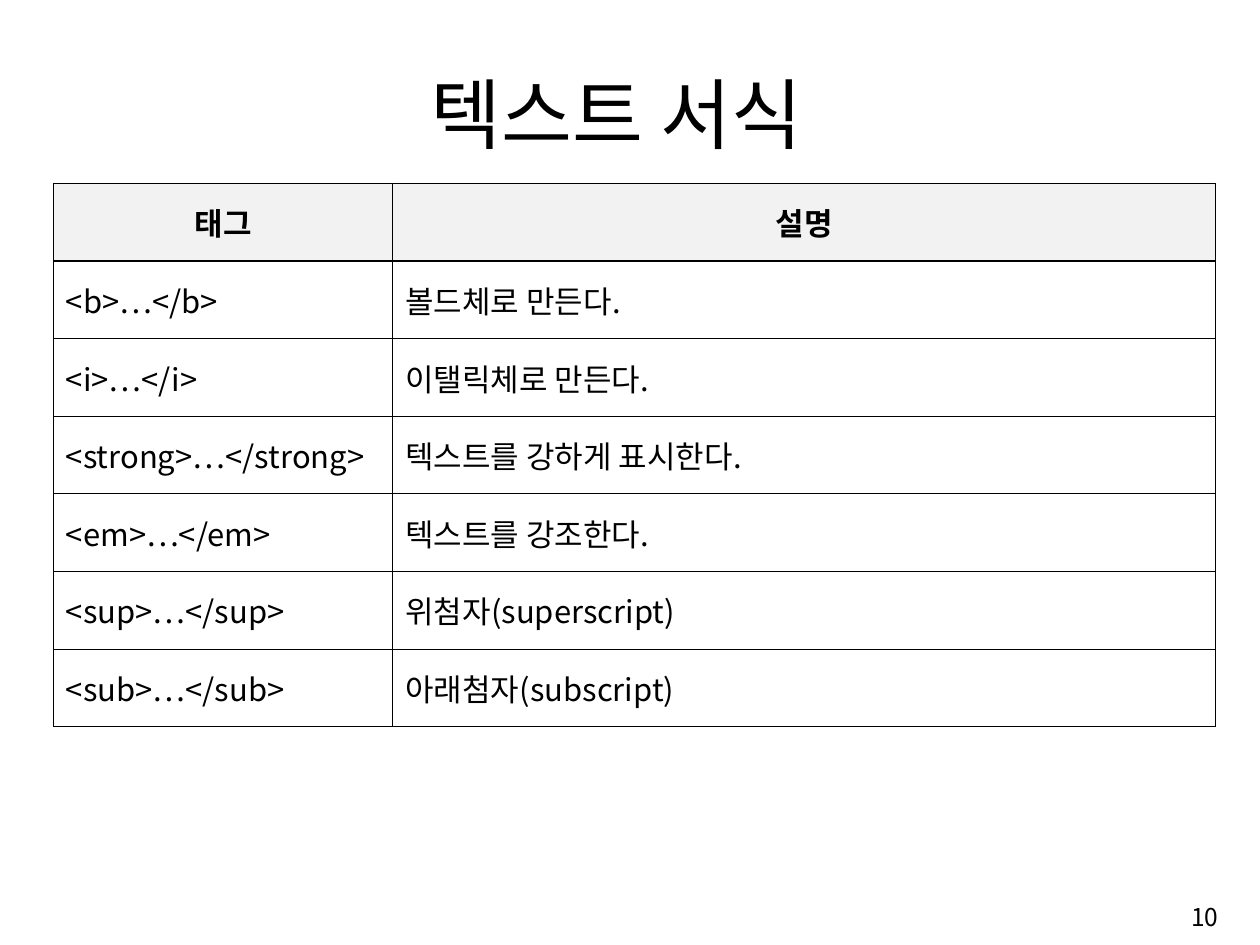
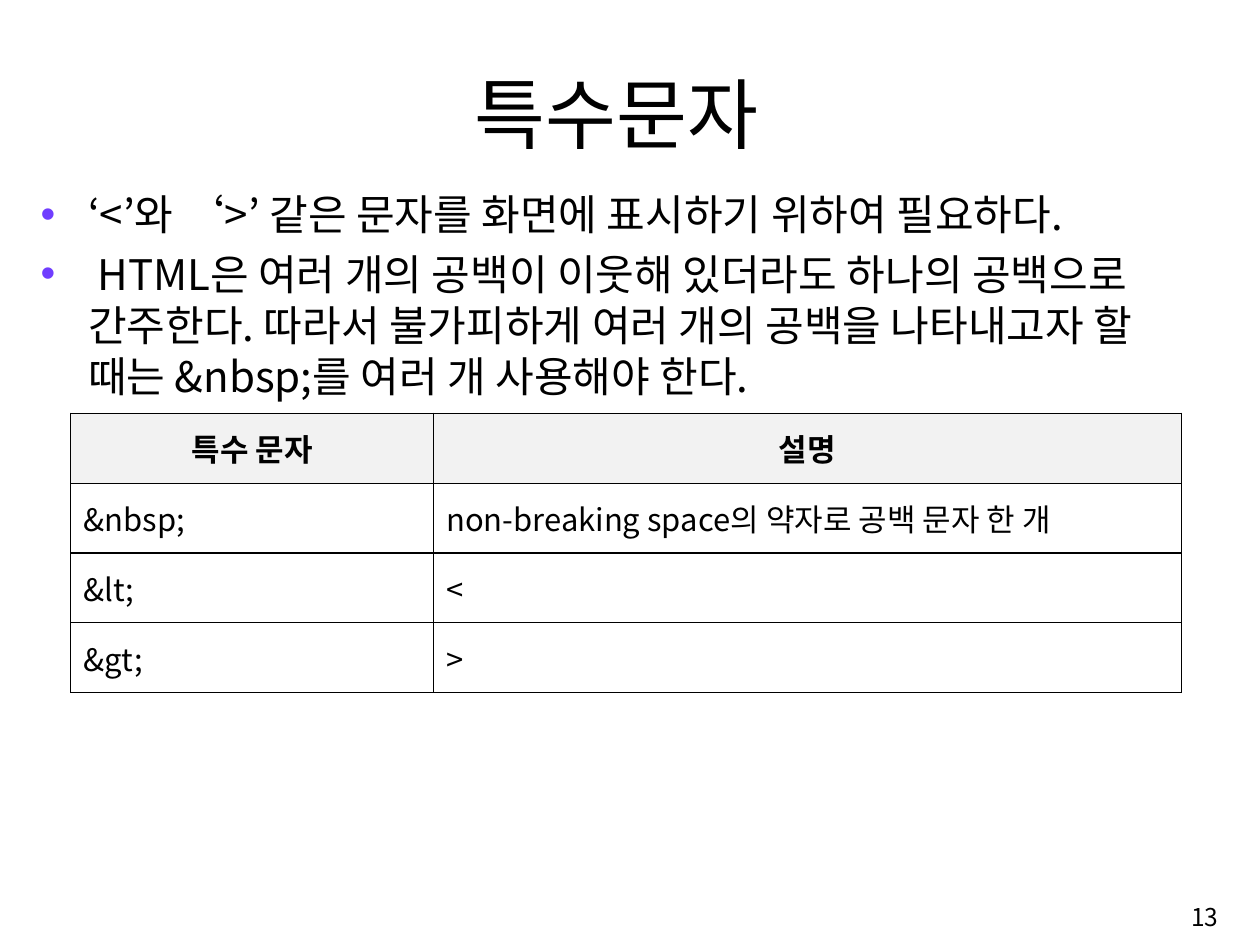
import pptx
import pptx.dml.color
import pptx.enum.text
import pptx.oxml
import pptx.oxml.ns
import pptx.util

Inches = pptx.util.Inches
Pt = pptx.util.Pt
ALIGN = pptx.enum.text.PP_ALIGN
ANCHOR = pptx.enum.text.MSO_ANCHOR

FONT = "Noto Sans CJK KR"
COLORS = {"text": "000000", "header": "F2F2F2", "cell": "FFFFFF",
          "border": "000000", "bullet": "703DFF"}

FORMAT_ROWS = [
    ("태그", "설명"),
    ("<b>…</b>", "볼드체로 만든다."),
    ("<i>…</i>", "이탤릭체로 만든다."),
    ("<strong>…</strong>", "텍스트를 강하게 표시한다."),
    ("<em>…</em>", "텍스트를 강조한다."),
    ("<sup>…</sup>", "위첨자(superscript)"),
    ("<sub>…</sub>", "아래첨자(subscript)"),
]
SYMBOL_ROWS = [
    ("특수 문자", "설명"),
    ("&nbsp;", "non-breaking space의 약자로 공백 문자 한 개"),
    ("&lt;", "<"),
    ("&gt;", ">"),
]
SYMBOL_POINTS = [
    "‘<’와 ‘>’ 같은 문자를 화면에 표시하기 위하여 필요하다.",
    " HTML은 여러 개의 공백이 이웃해 있더라도 하나의 공백으로 간주한다. "
    "따라서 불가피하게 여러 개의 공백을 나타내고자 할 때는 "
    "&nbsp;를 여러 개 사용해야 한다.",
]


def rgb(name):
    return pptx.dml.color.RGBColor.from_string(COLORS[name])


def add_xml(parent, xml):
    """Append a drawing element written without its namespace declaration."""
    tag, rest = xml.split(" ", 1)
    namespace = pptx.oxml.ns.nsdecls("a")
    parent.append(pptx.oxml.parse_xml(f"{tag} {namespace} {rest}"))


def format_paragraph(paragraph, size, alignment=ALIGN.LEFT, bold=False):
    paragraph.alignment = alignment
    for run in paragraph.runs:
        run.font.name = FONT
        run.font.size = Pt(size)
        run.font.bold = bold
        run.font.color.rgb = rgb("text")
        add_xml(run.font._element, f'<a:ea typeface="{FONT}"/>')


def add_text(slide, box, text, size, alignment=ALIGN.LEFT, anchor=ANCHOR.TOP):
    shape = slide.shapes.add_textbox(*map(Inches, box))
    text_frame = shape.text_frame
    text_frame.word_wrap = True
    text_frame.vertical_anchor = anchor
    text_frame.text = text
    for paragraph in text_frame.paragraphs:
        format_paragraph(paragraph, size, alignment)
    return shape


def add_bullets(slide, box, points):
    shape = add_text(slide, box, "\n".join(points), 31.2)
    for paragraph in shape.text_frame.paragraphs:
        paragraph.space_before = Pt(6)
        paragraph.line_spacing = Pt(38)
        properties = paragraph._p.get_or_add_pPr()
        properties.set("marL", str(Inches(0.49)))
        properties.set("indent", str(-Inches(0.49)))
        add_xml(properties, f'<a:buClr ><a:srgbClr val="{COLORS["bullet"]}"/></a:buClr>')
        add_xml(properties, '<a:buFont typeface="Arial"/>')
        add_xml(properties, '<a:buChar char="•"/>')


def style_cell(cell, text, is_header):
    cell.text = text
    cell.vertical_anchor = ANCHOR.MIDDLE
    cell.margin_left = cell.margin_right = Inches(0.13)
    cell.margin_top = cell.margin_bottom = Inches(0.06)
    format_paragraph(cell.text_frame.paragraphs[0], 23,
                     ALIGN.CENTER if is_header else ALIGN.LEFT, is_header)
    # Borders come before the fill in the cell properties
    for side in ("lnL", "lnR", "lnT", "lnB"):
        add_xml(cell._tc.get_or_add_tcPr(),
                f'<a:{side} w="{Pt(1)}"><a:solidFill>'
                f'<a:srgbClr val="{COLORS["border"]}"/></a:solidFill></a:{side}>')
    cell.fill.solid()
    cell.fill.fore_color.rgb = rgb("header" if is_header else "cell")


def add_grid(slide, left, top, widths, row_height, rows):
    frame = slide.shapes.add_table(
        len(rows), len(widths), Inches(left), Inches(top),
        Inches(sum(widths)), Inches(row_height * len(rows)))
    table = frame.table
    table.first_row = table.horz_banding = False
    for column, width in zip(table.columns, widths):
        column.width = Inches(width)
    for row_index, texts in enumerate(rows):
        table.rows[row_index].height = Inches(row_height)
        for column_index, text in enumerate(texts):
            style_cell(table.cell(row_index, column_index), text, row_index == 0)


def add_page(presentation, title, number):
    """Add a slide with the shared title and page number."""
    slide = presentation.slides.add_slide(presentation.slide_layouts[6])
    add_text(slide, (1.05, 0.61, 10.61, 1.08), title, 57.2,
             ALIGN.CENTER, ANCHOR.BOTTOM)
    add_text(slide, (9.98, 9.15, 2.68, 0.6), str(number), 18.2,
             ALIGN.RIGHT, ANCHOR.MIDDLE)
    return slide


def main():
    presentation = pptx.Presentation()
    presentation.slide_width = Inches(12.99)
    presentation.slide_height = Inches(9.74)

    # Text formatting tags
    slide = add_page(presentation, "텍스트 서식", 10)
    add_grid(slide, 0.55, 1.89, (3.5, 8.48), 0.8, FORMAT_ROWS)

    # Special characters
    slide = add_page(presentation, "특수문자", 13)
    add_bullets(slide, (0.32, 1.89, 12.32, 7.06), SYMBOL_POINTS)
    add_grid(slide, 0.73, 4.26, (3.74, 7.71), 0.72, SYMBOL_ROWS)

    presentation.save("out.pptx")


if __name__ == "__main__":
    main()
